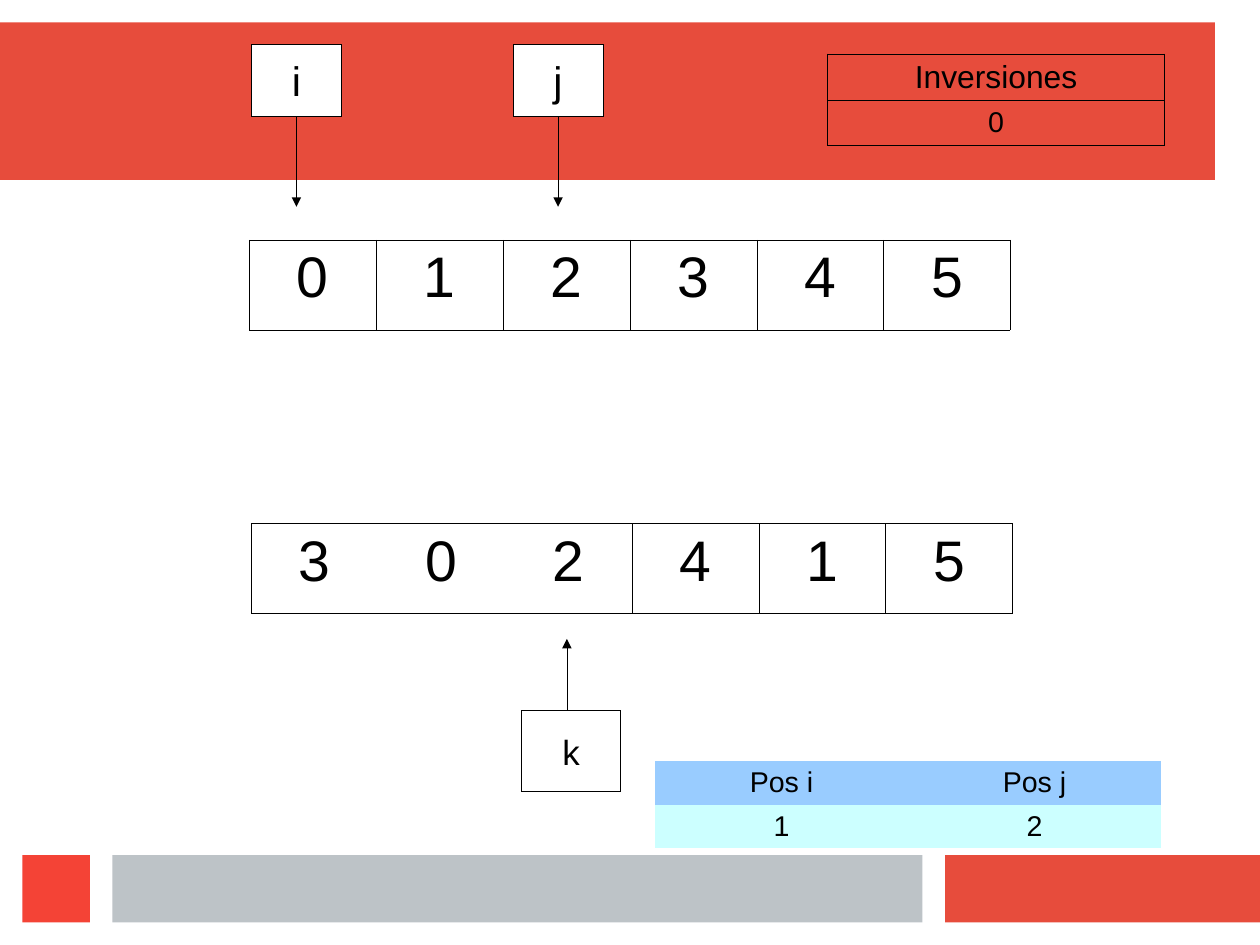
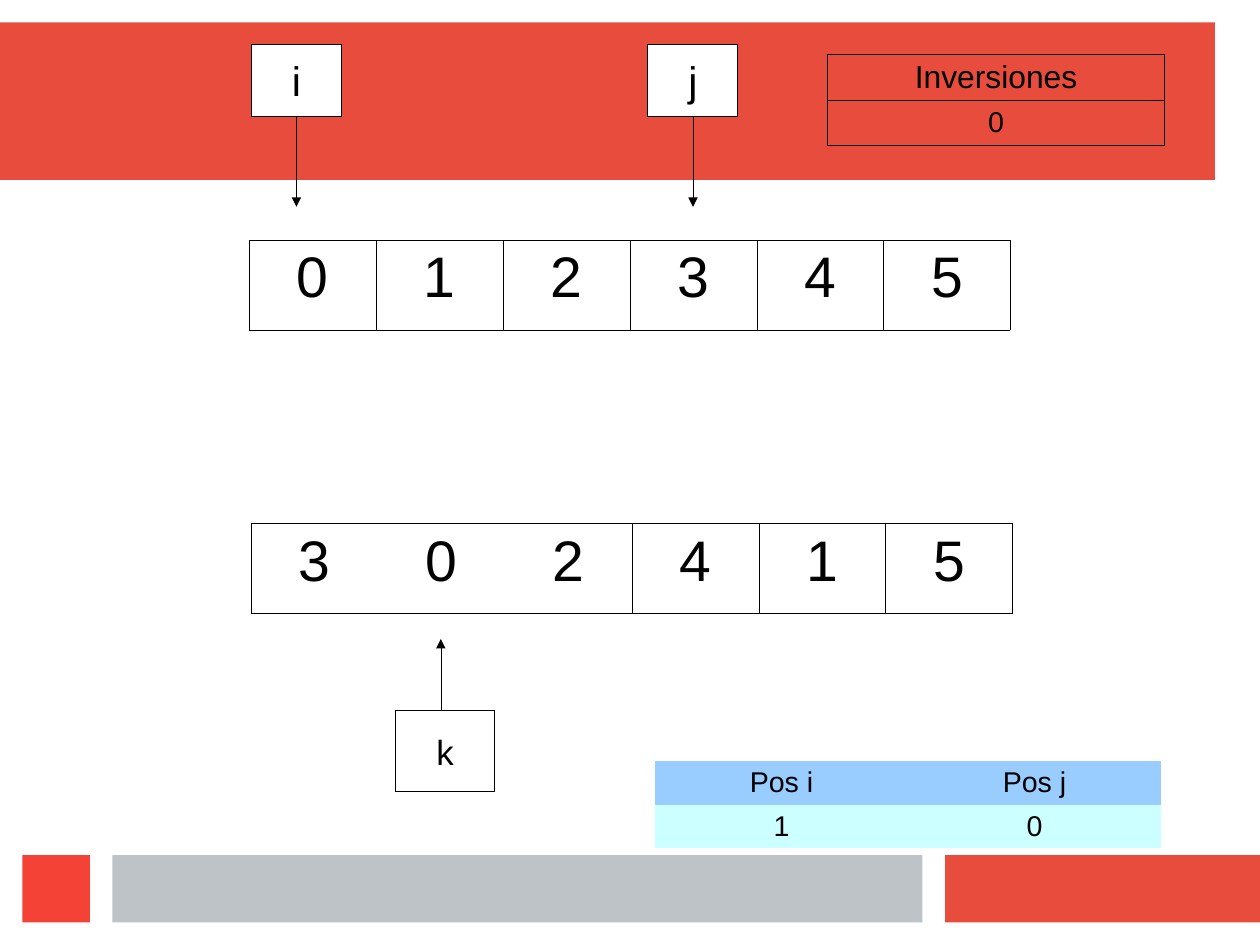
"""Build two slides that trace the i, j and k indices while counting inversions."""

import dataclasses

import lxml.etree
import pptx
import pptx.dml.color
import pptx.enum.shapes
import pptx.enum.text
import pptx.oxml.ns
import pptx.shapes.autoshape
import pptx.slide
import pptx.table
import pptx.text.text
import pptx.util

COLOURS = {
    "ink": "000000",
    "paper": "FFFFFF",
    "red": "E74C3C",
    "bright_red": "F44336",
    "grey": "BDC3C7",
    "header_blue": "99CCFF",
    "pale_cyan": "CCFFFF",
}
FONT = "Arial"
NO_STYLE = "{2D5ABB26-0587-4C30-8999-92F81FD0307C}"
SIDES = "LRTB"
HAIRLINE = 0.06
DIGIT_COLUMN = 79.92
DIGIT_ROW = 56.7


@dataclasses.dataclass(frozen=True)
class Band:
    left: float
    top: float
    width: float
    height: float
    colour: str


@dataclasses.dataclass(frozen=True)
class Pointer:
    label: str
    left: float
    top: float
    width: float
    height: float
    size: float
    tip: float
    shift: float = 0


@dataclasses.dataclass(frozen=True)
class Grid:
    left: float
    top: float
    column: float
    rows: tuple[float, ...]
    values: tuple[tuple[str, ...], ...]
    sizes: tuple[float, ...]
    fills: tuple[str, ...] = ()
    border: float = 0
    open_sides: tuple[str, ...] = ()


@dataclasses.dataclass(frozen=True)
class Step:
    j_left: float
    k_left: float
    pos_i: str
    pos_j: str


BANDS = (
    Band(0, 14.17, 765.35, 99.2, "red"),
    Band(595.3, 538.6, 198.4, 42.5, "red"),
    Band(70.87, 538.6, 510.2, 42.5, "grey"),
    Band(14.17, 538.6, 42.5, 42.5, "bright_red"),
)
STEPS = (
    Step(323.2, 328.5, "1", "2"),
    Step(408.2, 249.1, "1", "0"),
)
INDICES = Grid(157, 151.2, DIGIT_COLUMN, (DIGIT_ROW,), (tuple("012345"),), (36,), border=HAIRLINE)
ELEMENTS = Grid(
    158.3, 329.8, DIGIT_COLUMN, (DIGIT_ROW,), (tuple("302415"),), (36,),
    border=HAIRLINE, open_sides=("R", "LR", "L", "", "", ""),
)
INVERSIONS = Grid(521.3, 34, 212.4, (29.5, 27.8), (("Inversiones",), ("0",)), (20, 18), border=0.57)


def rgb(name: str) -> pptx.dml.color.RGBColor:
    return pptx.dml.color.RGBColor.from_string(COLOURS[name])


def write(frame: pptx.text.text.TextFrame, words: str, size: float) -> None:
    paragraph = frame.paragraphs[0]
    paragraph.alignment = pptx.enum.text.PP_ALIGN.CENTER
    run = paragraph.add_run()
    run.text = words
    run.font.name = FONT
    run.font.size = pptx.util.Pt(size)
    run.font.color.rgb = rgb("ink")


def add_box(
    slide: pptx.slide.Slide, left: float, top: float, width: float, height: float, colour: str
) -> pptx.shapes.autoshape.Shape:
    box = slide.shapes.add_shape(
        pptx.enum.shapes.MSO_SHAPE.RECTANGLE, *map(pptx.util.Pt, (left, top, width, height))
    )
    box.shadow.inherit = False
    box.fill.solid()
    box.fill.fore_color.rgb = rgb(colour)
    box.line.fill.background()
    return box


def share_bands(slide: pptx.slide.Slide, layout: pptx.slide.SlideLayout) -> None:
    for placeholder in list(layout.placeholders):
        layout.shapes.element.remove(placeholder.element)
    for band in BANDS:
        drawn = add_box(slide, band.left, band.top, band.width, band.height, band.colour)
        drawn.element.nvSpPr.cNvPr.set("id", str(2 + len(layout.shapes)))
        layout.shapes.element.append(drawn.element)


def add_pointer(slide: pptx.slide.Slide, pointer: Pointer) -> None:
    box = add_box(slide, pointer.left, pointer.top, pointer.width, pointer.height, "paper")
    frame = box.text_frame
    frame.word_wrap = False
    frame.vertical_anchor = pptx.enum.text.MSO_ANCHOR.MIDDLE
    write(frame, pointer.label, pointer.size)

    downward = pointer.tip > pointer.top
    start = pointer.top + pointer.height * downward
    x = pointer.left + pointer.width / 2 + pointer.shift
    arrow = slide.shapes.add_connector(
        pptx.enum.shapes.MSO_CONNECTOR.STRAIGHT, *map(pptx.util.Pt, (x, start, x, pointer.tip))
    )
    if not pointer.shift:
        arrow.begin_connect(box, 2 if downward else 0)

    for outlined in (box, arrow):
        outlined.line.fill.solid()
        outlined.line.fill.fore_color.rgb = rgb("ink")
        outlined.element.spPr.get_or_add_ln().set("w", "0")
    properties = arrow.element.spPr
    lxml.etree.SubElement(
        properties.get_or_add_ln(), pptx.oxml.ns.qn("a:tailEnd"), type="triangle"
    )
    lxml.etree.SubElement(properties, pptx.oxml.ns.qn("a:effectLst"))


def set_borders(cell: pptx.table._Cell, width: float, open_sides: str) -> None:
    qn = pptx.oxml.ns.qn
    properties = cell._tc.get_or_add_tcPr()
    for position, side in enumerate(SIDES):
        edge = lxml.etree.Element(qn(f"a:ln{side}"), w=str(int(pptx.util.Pt(width))))
        if width and side not in open_sides:
            paint = lxml.etree.SubElement(edge, qn("a:solidFill"))
            lxml.etree.SubElement(paint, qn("a:srgbClr"), val=COLOURS["ink"])
        else:
            lxml.etree.SubElement(edge, qn("a:noFill"))
        properties.insert(position, edge)


def add_grid(slide: pptx.slide.Slide, grid: Grid) -> None:
    columns = len(grid.values[0])
    extent = (grid.left, grid.top, grid.column * columns, sum(grid.rows))
    table = slide.shapes.add_table(len(grid.rows), columns, *map(pptx.util.Pt, extent)).table
    table.first_row = table.horz_banding = False
    table._tbl.tblPr.find(pptx.oxml.ns.qn("a:tableStyleId")).text = NO_STYLE
    for column in table.columns:
        column.width = pptx.util.Pt(grid.column)
    for r, row in enumerate(table.rows):
        row.height = pptx.util.Pt(grid.rows[r])
        for c, cell in enumerate(row.cells):
            write(cell.text_frame, grid.values[r][c], grid.sizes[r])
            if grid.fills:
                cell.fill.solid()
                cell.fill.fore_color.rgb = rgb(grid.fills[r])
            else:
                cell.fill.background()
            set_borders(cell, grid.border, grid.open_sides[c] if grid.open_sides else "")


def draw_step(slide: pptx.slide.Slide, step: Step) -> None:
    positions = Grid(
        412.6, 479.5, 159.4, (27.4, 27.4), (("Pos i", "Pos j"), (step.pos_i, step.pos_j)),
        (18, 18), fills=("header_blue", "pale_cyan"),
    )
    add_grid(slide, INDICES)
    add_grid(slide, ELEMENTS)
    for label, left in (("i", 158.4), ("j", step.j_left)):
        add_pointer(slide, Pointer(label, left, 28, 56.7, 45.4, 26, 130.3))
    add_pointer(slide, Pointer("k", step.k_left, 447.6, 62.4, 51, 22, 402.5, shift=-2.6))
    add_grid(slide, positions)
    add_grid(slide, INVERSIONS)


def main() -> None:
    deck = pptx.Presentation()
    deck.slide_width = pptx.util.Pt(793.7)
    deck.slide_height = pptx.util.Pt(595.28)
    layout = deck.slide_layouts[6]
    slides = [deck.slides.add_slide(layout) for _ in STEPS]
    share_bands(slides[0], layout)
    for slide, step in zip(slides, STEPS):
        draw_step(slide, step)
    deck.save("out.pptx")


if __name__ == "__main__":
    main()
